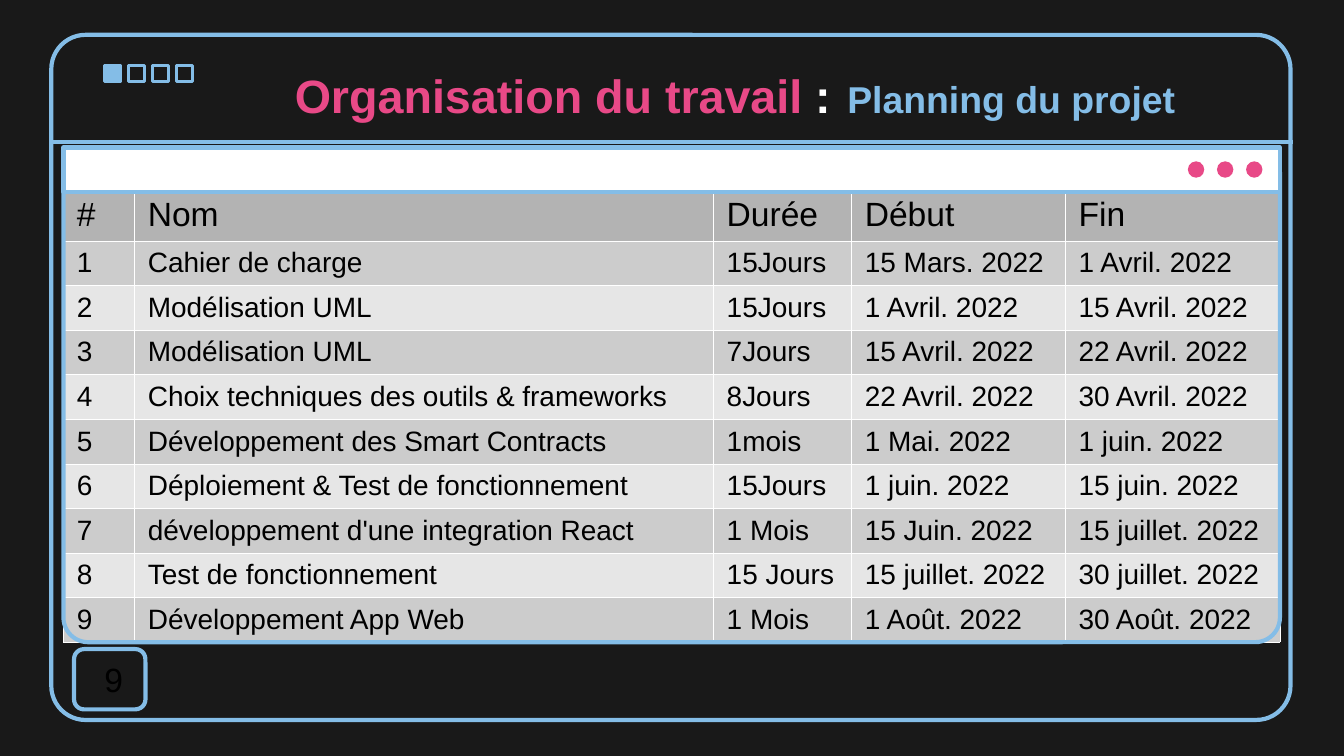
from lxml.etree import SubElement as Sub
from pptx import Presentation
from pptx.dml.color import RGBColor
from pptx.enum.shapes import MSO_CONNECTOR as Link, MSO_SHAPE as Kind
from pptx.enum.text import MSO_ANCHOR as Anchor, MSO_AUTO_SIZE as Fit, PP_ALIGN as Align
from pptx.oxml.ns import qn
from pptx.util import Cm, Pt

DARK, BLUE, PINK, WHITE, BLACK = "191919", "84BDE7", "E84987", "FFFFFF", "000000"
HEAD, ODD, EVEN = "B3B3B3", "CCCCCC", "E6E6E6"

COLS = [1.34, 10.94, 2.61, 4.04, 4.06]
ROWS = [
    ("#", "Nom", "Durée", "Début", "Fin"),
    ("1", "Cahier de charge", "15Jours", "15 Mars. 2022", "1 Avril. 2022"),
    ("2", "Modélisation UML", "15Jours", "1 Avril. 2022", "15 Avril. 2022"),
    ("3", "Modélisation UML", "7Jours", "15 Avril. 2022", "22 Avril. 2022"),
    ("4", "Choix techniques des outils & frameworks", "8Jours",
     "22 Avril. 2022", "30 Avril. 2022"),
    ("5", "Développement des Smart Contracts", "1mois", "1 Mai. 2022", "1 juin. 2022"),
    ("6", "Déploiement & Test de fonctionnement", "15Jours",
     "1 juin. 2022", "15 juin. 2022"),
    ("7", "développement d'une integration React", "1 Mois",
     "15 Juin. 2022", "15 juillet. 2022"),
    ("8", "Test de fonctionnement", "15 Jours", "15 juillet. 2022", "30 juillet. 2022"),
    ("9", "Développement App Web", "1 Mois", "1 Août. 2022", "30 Août. 2022"),
]


def color(code):
    return RGBColor.from_string(code)


def paint(fill, code):
    fill.solid()
    fill.fore_color.rgb = color(code)


def style(font, size, code, bold=False):
    font.name, font.size, font.bold = "Arial", Pt(size), bold
    font.color.rgb = color(code)


def add_box(slide, kind, left, top, width, height, fill=None, line=None, adj=None):
    box = slide.shapes.add_shape(kind, Cm(left), Cm(top), Cm(width), Cm(height))
    box.shadow.inherit = False
    if fill:
        paint(box.fill, fill)
    else:
        box.fill.background()
    if line:
        box.line.color.rgb = color(BLUE)
        box.line.width = Pt(line)
    else:
        box.line.fill.background()
    if adj:
        box.adjustments[0] = adj
    return box


def add_rule(slide, left, right, top):
    rule = slide.shapes.add_connector(Link.STRAIGHT, Cm(left), Cm(top), Cm(right), Cm(top))
    rule.line.color.rgb = color(BLUE)
    rule.line.width = Pt(2.25)
    Sub(rule._element.spPr, qn("a:effectLst"))


def set_title(slide):
    title = slide.shapes.title
    title.left, title.top, title.width, title.height = Cm(3.2), Cm(0.61), Cm(21.39), Cm(2.18)
    frame = title.text_frame
    frame.auto_size, frame.word_wrap = Fit.NONE, True
    frame.vertical_anchor = Anchor.MIDDLE
    frame.margin_left = frame.margin_right = Cm(0.25)
    frame.margin_top = frame.margin_bottom = Cm(0.25)
    para = frame.paragraphs[0]
    para.alignment = Align.CENTER
    for text, size, code in [("Organisation du travail ", 25, PINK), (":", 25, WHITE),
                             (" ", 32, BLUE), ("Planning du projet", 20, BLUE)]:
        run = para.add_run()
        run.text = text
        style(run.font, size, code, True)


def set_cell(cell, text, size, fill):
    cell.text_frame.text = text
    style(cell.text_frame.paragraphs[0].runs[0].font, size, BLACK)
    # Thin white borders come before the fill
    props = cell._tc.get_or_add_tcPr()
    for side in ("a:lnL", "a:lnR", "a:lnT", "a:lnB"):
        edge = Sub(props, qn(side), w=str(Pt(0.06)))
        Sub(Sub(edge, qn("a:solidFill")), qn("a:srgbClr"), val=WHITE)
    paint(cell.fill, fill)


def add_plan(slide):
    head, full = 0.97, 8.56
    table = slide.shapes.add_table(len(ROWS), len(COLS), Cm(1.2), Cm(3.58),
                                   Cm(sum(COLS)), Cm(full)).table
    for col, width in zip(table.columns, COLS):
        col.width = Cm(width)
    for i, texts in enumerate(ROWS):
        table.rows[i].height = Cm(head if i == 0 else (full - head) / (len(ROWS) - 1))
        fill = HEAD if i == 0 else ODD if i % 2 else EVEN
        for j, text in enumerate(texts):
            set_cell(table.cell(i, j), text, 15 if i else 18, fill)


def add_page(slide, number):
    box = add_box(slide, Kind.ROUNDED_RECTANGLE, 1.4, 12.27, 1.35, 1.14, line=2.25)
    frame = box.text_frame
    frame.margin_left, frame.margin_right = Cm(0.15), Cm(0)
    frame.vertical_anchor = Anchor.MIDDLE
    frame.text = number
    para = frame.paragraphs[0]
    para.alignment = Align.CENTER
    style(para.runs[0].font, 18, BLACK)


def main():
    deck = Presentation()
    deck.slide_width, deck.slide_height = Cm(25.4), Cm(14.29)
    slide = deck.slides.add_slide(deck.slide_layouts[5])
    paint(slide.background.fill, DARK)

    # Outer frame with its squares and rule
    for i in range(4):
        add_box(slide, Kind.RECTANGLE, 1.98 + 0.45 * i, 1.24, 0.31, 0.31,
                None if i else BLUE, 1.5)
    add_box(slide, Kind.ROUNDED_RECTANGLE, 0.97, 0.66, 23.42, 12.95, line=2.25, adj=0.05)
    add_rule(slide, 0.94, 24.43, 2.69)

    # Content
    set_title(slide)
    add_plan(slide)
    add_page(slide, "9")

    # Window around the table
    add_box(slide, Kind.ROUNDED_RECTANGLE, 1.2, 2.79, 22.99, 9.35, line=2.25, adj=0.05)
    add_box(slide, Kind.RECTANGLE, 1.2, 2.79, 22.99, 0.84, WHITE, 2.25)
    for i in range(3):
        add_box(slide, Kind.OVAL, 22.45 + 0.55 * i, 3.05, 0.31, 0.31, PINK)

    deck.save("out.pptx")


if __name__ == "__main__":
    main()
